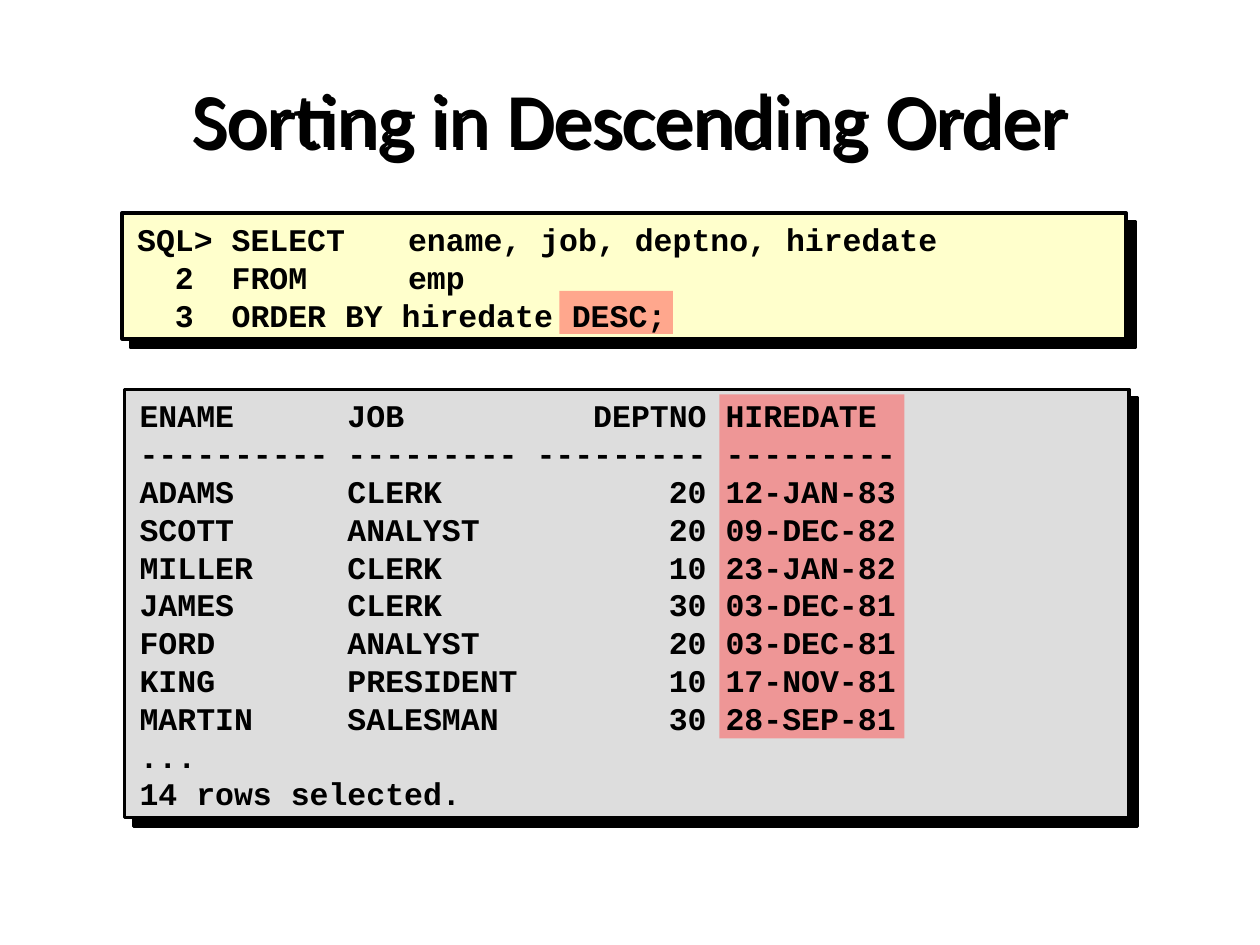
from lxml import etree
from pptx import Presentation
from pptx.dml.color import RGBColor
from pptx.enum.shapes import MSO_SHAPE
from pptx.enum.text import MSO_ANCHOR, PP_ALIGN
from pptx.oxml.ns import qn
from pptx.util import Pt

RECTANGLE = MSO_SHAPE.RECTANGLE
MIDDLE = MSO_ANCHOR.MIDDLE
LEFT, CENTER = PP_ALIGN.LEFT, PP_ALIGN.CENTER

BLACK = RGBColor(0x00, 0x00, 0x00)
CREAM = RGBColor(0xFF, 0xFF, 0xCC)
GREY = RGBColor(0xDD, 0xDD, 0xDD)
RED = RGBColor(0xFF, 0x50, 0x50)

TITLE_ONLY = 5
TAB_STOP = 94.5

QUERY = [
    "SQL> SELECT  \t ename, job, deptno, hiredate",
    "  2  FROM    \t emp",
    "  3  ORDER BY hiredate DESC;",
]
EMPLOYEES = [
    ("ADAMS", "CLERK", 20, "12-JAN-83"),
    ("SCOTT", "ANALYST", 20, "09-DEC-82"),
    ("MILLER", "CLERK", 10, "23-JAN-82"),
    ("JAMES", "CLERK", 30, "03-DEC-81"),
    ("FORD", "ANALYST", 20, "03-DEC-81"),
    ("KING", "PRESIDENT", 10, "17-NOV-81"),
    ("MARTIN", "SALESMAN", 30, "28-SEP-81"),
]
HEADINGS = ("ENAME", "JOB", "DEPTNO", "HIREDATE")
RULES = ("-" * 10, "-" * 9, "-" * 9, "-" * 9)


def result_line(name, job, department, hired):
    """Lay one row out in the fixed-width columns of the console."""
    return f"{name:<10} {job:<9} {department:>9} {hired}"


def add_shadow(shape, distance):
    """Give a shape a solid black shadow, down and to the right."""
    effects = etree.SubElement(shape._element.spPr, qn("a:effectLst"))
    shadow = etree.SubElement(effects, qn("a:outerShdw"), blurRad="0",
                              dist=str(Pt(distance)), dir="2700000",
                              algn="ctr", rotWithShape="0")
    etree.SubElement(shadow, qn("a:srgbClr"), val=str(BLACK))


def write_lines(frame, lines, font, size, bold=False, align=LEFT,
                spacing=None, tab=None):
    """Write one paragraph a line, all in the same format."""
    for index, line in enumerate(lines):
        para = frame.paragraphs[0] if index == 0 else frame.add_paragraph()
        para.alignment = align
        if spacing:
            para.line_spacing = spacing
        if tab:
            tabs = etree.SubElement(para._p.get_or_add_pPr(), qn("a:tabLst"))
            etree.SubElement(tabs, qn("a:tab"), pos=str(Pt(tab)), algn="l")
        span = para.add_run()
        span.text = line
        span.font.name = font
        span.font.size = Pt(size)
        span.font.bold = bold
        span.font.color.rgb = BLACK


class SlideBuilder:
    title_font = "Calibri"
    code_font = "Courier New"

    def __init__(self, page):
        self.page = page

    def title(self, text, left, top, width, height):
        box = self.page.shapes.title
        box.left, box.top = Pt(left), Pt(top)
        box.width, box.height = Pt(width), Pt(height)
        box.text_frame.vertical_anchor = MIDDLE
        write_lines(box.text_frame, [text], self.title_font, 44, align=CENTER)
        add_shadow(box, 2.8)

    def rectangle(self, left, top, width, height, color):
        box = self.page.shapes.add_shape(
            RECTANGLE, Pt(left), Pt(top), Pt(width), Pt(height))
        box.fill.solid()
        box.fill.fore_color.rgb = color
        return box

    def panel(self, left, top, width, height, color):
        box = self.rectangle(left, top, width, height, color)
        box.line.color.rgb = BLACK
        box.line.width = Pt(2)
        add_shadow(box, 7.1)

    def highlight(self, left, top, width, height):
        box = self.rectangle(left, top, width, height, RED)
        box.line.fill.background()
        box.shadow.inherit = False
        color = box._element.spPr.find(qn("a:solidFill"))[0]
        etree.SubElement(color, qn("a:alpha"), val="50000")

    def code(self, lines, left, top, width, height):
        box = self.page.shapes.add_textbox(
            Pt(left), Pt(top), Pt(width), Pt(height))
        frame = box.text_frame
        frame.word_wrap = True
        frame.vertical_anchor = MIDDLE
        write_lines(frame, lines, self.code_font, 18, bold=True,
                    spacing=Pt(21.6), tab=TAB_STOP)


def main():
    deck = Presentation()
    deck.slide_width, deck.slide_height = Pt(720), Pt(540)
    page = deck.slides.add_slide(deck.slide_layouts[TITLE_ONLY])
    builder = SlideBuilder(page)

    # Panels behind the query and its result
    builder.panel(69.8, 121.7, 573.8, 72, CREAM)
    builder.panel(71.3, 222.5, 573.8, 244.8, GREY)

    builder.title("Sorting in Descending Order", 36, 21.6, 648, 90)

    # Marks on the sort keyword and the sorted column
    builder.highlight(319.7, 166.3, 64.8, 24.5)
    builder.highlight(411.1, 225.4, 105.8, 196.6)

    # Query and result text
    builder.code(QUERY, 71.3, 121, 576, 74.2)
    rows = [result_line(*row) for row in (HEADINGS, RULES, *EMPLOYEES)]
    result = rows + ["...", "14 rows selected."]
    builder.code(result, 72.7, 221.8, 576, 247)

    deck.save("out.pptx")


if __name__ == "__main__":
    main()
